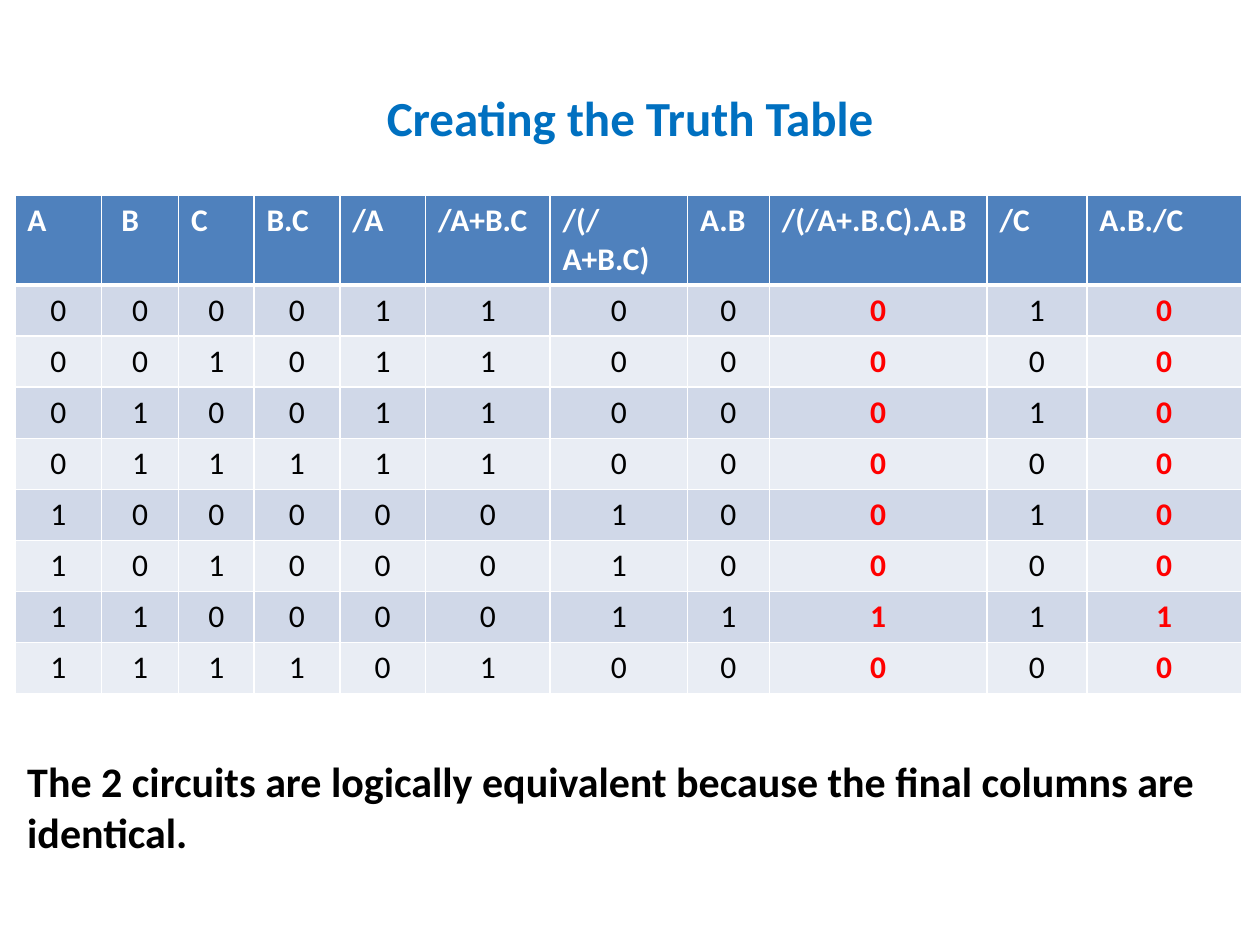
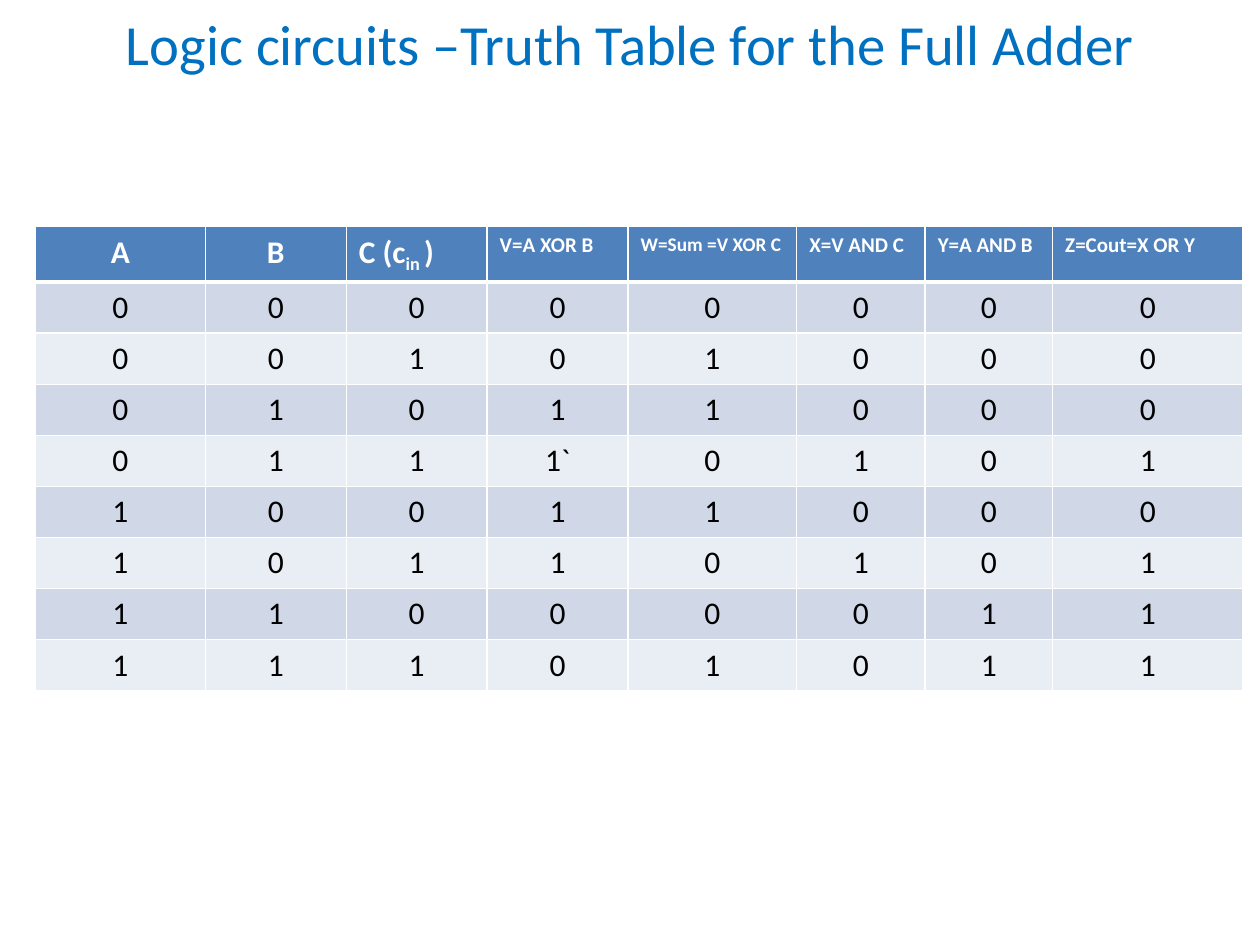
from lxml import etree
from pptx import Presentation
from pptx.dml.color import RGBColor
from pptx.enum.text import MSO_ANCHOR, MSO_AUTO_SIZE, PP_ALIGN
from pptx.oxml.ns import qn
from pptx.util import Cm, Pt

LEFT, MID = PP_ALIGN.LEFT, PP_ALIGN.CENTER
TOP, CORE = MSO_ANCHOR.TOP, MSO_ANCHOR.MIDDLE
FIXED, GROW = MSO_AUTO_SIZE.NONE, MSO_AUTO_SIZE.SHAPE_TO_FIT_TEXT

FONT = "Calibri"
BLUE, HEAD, RED = "0070C0", "4F81BD", "FF0000"
WHITE, BLACK = "FFFFFF", "000000"
BANDS = ("D0D8E8", "E9EDF4")
ROW = 1.03

PROOF_HEADS = ["A", " B", "C", "B.C", "/A", "/A+B.C", "/(/A+B.C)", "A.B",
               "/(/A+.B.C).A.B", "/C", "A.B./C"]
PROOF_COLS = [1.75, 1.55, 1.52, 1.73, 1.73, 2.51, 2.77, 1.65, 4.39, 2.01, 3.12]
PROOF_ROWS = """
0 0 0 0 1 1 0 0 0 1 0
0 0 1 0 1 1 0 0 0 0 0
0 1 0 0 1 1 0 0 0 1 0
0 1 1 1 1 1 0 0 0 0 0
1 0 0 0 0 0 1 0 0 1 0
1 0 1 0 0 0 1 0 0 0 0
1 1 0 0 0 0 1 1 1 1 1
1 1 1 1 0 1 0 0 0 0 0
"""
FINAL = (8, 10)

ADDER_HEADS = ["A", "B", "C (c|in |)", "V=A XOR B", "W=Sum =V XOR C",
               "X=V AND C", "Y=A AND B", "Z=Cout=X OR Y"]
ADDER_SIZES = [18, 18, 18, 12, 11, 12, 12, 12]
ADDER_COLS = [3.43, 2.84, 2.84, 2.84, 3.4, 2.59, 2.57, 3.84]
ADDER_ROWS = """
0 0 0 0 0 0 0 0
0 0 1 0 1 0 0 0
0 1 0 1 1 0 0 0
0 1 1 1` 0 1 0 1
1 0 0 1 1 0 0 0
1 0 1 1 0 1 0 1
1 1 0 0 0 0 1 1
1 1 1 0 1 0 1 1
"""


def tint(text):
    return RGBColor.from_string(text)


def write(para, text, size, color, bold=False, align=LEFT):
    para.alignment = align
    for i, part in enumerate(text.split("|")):
        run = para.add_run()
        run.text = part
        font = run.font
        font.name, font.size, font.bold = FONT, Pt(size), bold
        font.color.rgb = tint(color)
        if i % 2:
            font._element.set("baseline", "-25000")


def edge(cell, side, width):
    props = cell._tc.get_or_add_tcPr()
    line = etree.SubElement(props, qn("a:ln" + side), w=str(Pt(width)))
    fill = etree.SubElement(line, qn("a:solidFill"))
    etree.SubElement(fill, qn("a:srgbClr"), val=WHITE)


def paint(cell, fill, top=1, base=1):
    for side, width in (("L", 1), ("R", 1), ("T", top), ("B", base)):
        edge(cell, side, width)
    cell.fill.solid()
    cell.fill.fore_color.rgb = tint(fill)


def add_title(slide, box, text, size, bold=False, anchor=CORE):
    title = slide.shapes.title
    title.left, title.top, title.width, title.height = map(Cm, box)
    frame = title.text_frame
    frame.word_wrap = True
    frame.auto_size = FIXED
    frame.vertical_anchor = anchor
    para = frame.paragraphs[0]
    write(para, text, size, BLUE, bold, MID)
    if anchor == TOP:
        frame.margin_top = 0
        para.line_spacing = 0.9


def add_grid(slide, left, top, cols, heads, rows, tall, sizes, mids=(), reds=()):
    rows = [row.split() for row in rows.strip().splitlines()]
    high = tall + ROW * len(rows)
    shape = slide.shapes.add_table(len(rows) + 1, len(cols), Cm(left), Cm(top),
                                   Cm(sum(cols)), Cm(high))
    grid = shape.table
    for col, width in zip(grid.columns, cols):
        col.width = Cm(width)
    for i, row in enumerate(grid.rows):
        row.height = Cm(ROW if i else tall)
    for c, (text, size) in enumerate(zip(heads, sizes)):
        cell = grid.cell(0, c)
        paint(cell, HEAD, base=3)
        write(cell.text_frame.paragraphs[0], text, size, WHITE, True,
              MID if c in mids else LEFT)
    for r, row in enumerate(rows):
        for c, text in enumerate(row):
            cell = grid.cell(r + 1, c)
            paint(cell, BANDS[r % 2], top=1 if r else 3)
            final = c in reds
            write(cell.text_frame.paragraphs[0], text, 18,
                  RED if final else BLACK, final, MID)


def add_note(slide, box, text):
    frame = slide.shapes.add_textbox(*map(Cm, box)).text_frame
    frame.word_wrap = True
    frame.auto_size = GROW
    write(frame.paragraphs[0], text, 24, BLACK, True)


def proof_slide(slide):
    add_title(slide, (1.27, 0.76, 22.86, 3.18), "Creating the Truth Table", 28, True)
    add_grid(slide, 0.3, 3.94, PROOF_COLS, PROOF_HEADS, PROOF_ROWS, 1.79,
             [18] * len(PROOF_COLS), reds=FINAL)
    add_note(slide, (0.3, 15.11, 24.79, 3.07),
             "The 2 circuits are logically equivalent because the final "
             "columns are identical.")


def adder_slide(slide):
    add_title(slide, (1.27, 0.33, 22.86, 2.59),
              "Logic circuits –Truth Table for the Full Adder", 32.4, anchor=TOP)
    add_grid(slide, 0.71, 4.57, ADDER_COLS, ADDER_HEADS, ADDER_ROWS, 1.09,
             ADDER_SIZES, mids=(0, 1))


def main():
    deck = Presentation()
    deck.slide_width, deck.slide_height = Cm(25.4), Cm(19.05)
    for build in (proof_slide, adder_slide):
        build(deck.slides.add_slide(deck.slide_layouts[5]))
    deck.save("out.pptx")


if __name__ == "__main__":
    main()
